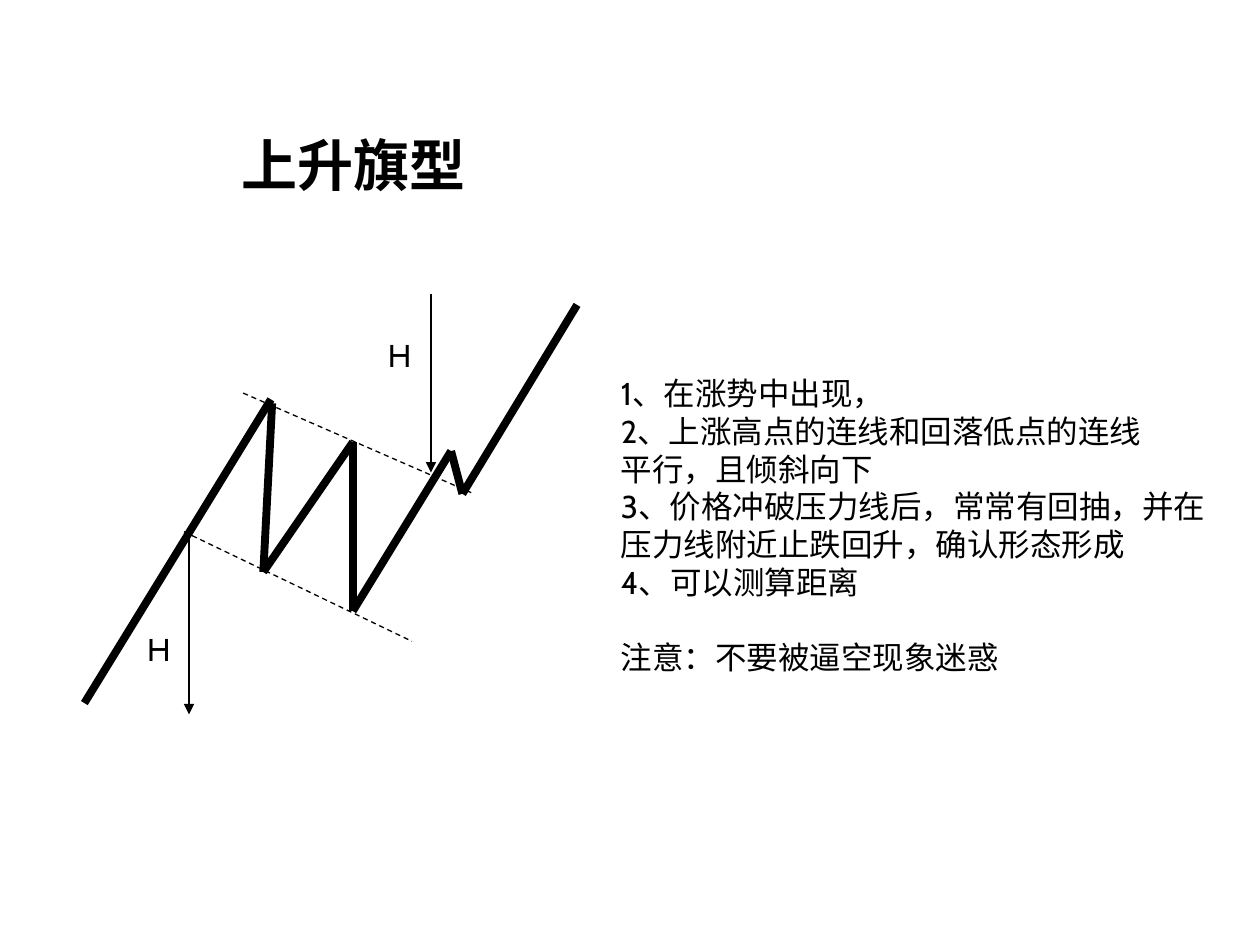
from itertools import pairwise

from lxml import etree
from pptx import Presentation
from pptx import util as u
from pptx.dml.color import RGBColor
from pptx.enum import dml, shapes, text
from pptx.oxml.ns import qn

PX = 9144  # 100 px to the inch
BLACK = RGBColor(0, 0, 0)
FONT = "Cabin"

# Content: left, top, width, height in px
TITLE = ("上升旗型", (182, 99, 199, 63))
NOTES = [
    "1、在涨势中出现，",
    "2、上涨高点的连线和回落低点的连线",
    "平行，且倾斜向下",
    "3、价格冲破压力线后，常常有回抽，并在",
    "压力线附近止跌回升，确认形态形成",
    "4、可以测算距离",
    "注意：不要被逼空现象迷惑",
]
NOTES_BOX = (483, 292, 484, 250)
HEIGHT_LABELS = [(107, 495), (298, 262)]

# Chart lines: points in px
CHANNEL = [((193, 312), (374, 391)), ((146, 422), (327, 509))]
FLAGPOLE = [(67, 558), (215, 317)]
PRICE = [(216, 320), (209, 454), (280, 351), (280, 485),
         (358, 358), (367, 392), (458, 242)]
HEIGHT_TOPS = [(342, 233), (150, 425)]
HEIGHT = 142


def px(*values):
    return [u.Emu(v * PX) for v in values]


def add_text(slide, lines, box, size=18, bold=False, wrap=False):
    frame = slide.shapes.add_textbox(*px(*box)).text_frame
    frame.word_wrap = wrap
    frame.auto_size = text.MSO_AUTO_SIZE.NONE
    frame.text = "\n".join(lines)
    for paragraph in frame.paragraphs:
        font = paragraph.runs[0].font
        font.name, font.size, font.bold = FONT, u.Pt(size), bold
        font.color.rgb = BLACK
    return frame


def add_line(slide, start, end, width=0.75, dashed=False, arrow=False):
    line = slide.shapes.add_connector(
        shapes.MSO_CONNECTOR.STRAIGHT, *px(*start, *end))
    line.line.color.rgb = BLACK
    line.line.width = u.Pt(width)
    if dashed:
        line.line.dash_style = dml.MSO_LINE.DASH
    properties = line._element.spPr
    if arrow:
        etree.SubElement(properties.find(qn("a:ln")), qn("a:tailEnd"),
                         type="triangle")
    etree.SubElement(properties, qn("a:effectLst"))


def main():
    deck = Presentation()
    deck.slide_width, deck.slide_height = px(1000, 750)
    slide = deck.slides.add_slide(deck.slide_layouts[6])

    # Parallel channel, price path and measured heights
    for start, end in CHANNEL:
        add_line(slide, start, end, dashed=True)
    for path_points in (FLAGPOLE, PRICE):
        for start, end in pairwise(path_points):
            add_line(slide, start, end, width=4.5)
    for x, top in HEIGHT_TOPS:
        add_line(slide, (x, top), (x, top + HEIGHT), arrow=True)

    # Title, labels and notes
    title, title_box = TITLE
    add_text(slide, [title], title_box, size=32, bold=True)
    for left, top in HEIGHT_LABELS:
        add_text(slide, ["H"], (left, top, 37, 40))
    notes = add_text(slide, NOTES, NOTES_BOX, wrap=True)
    notes.paragraphs[-1].space_before = u.Pt(21.5)

    deck.save("out.pptx")


if __name__ == "__main__":
    main()
